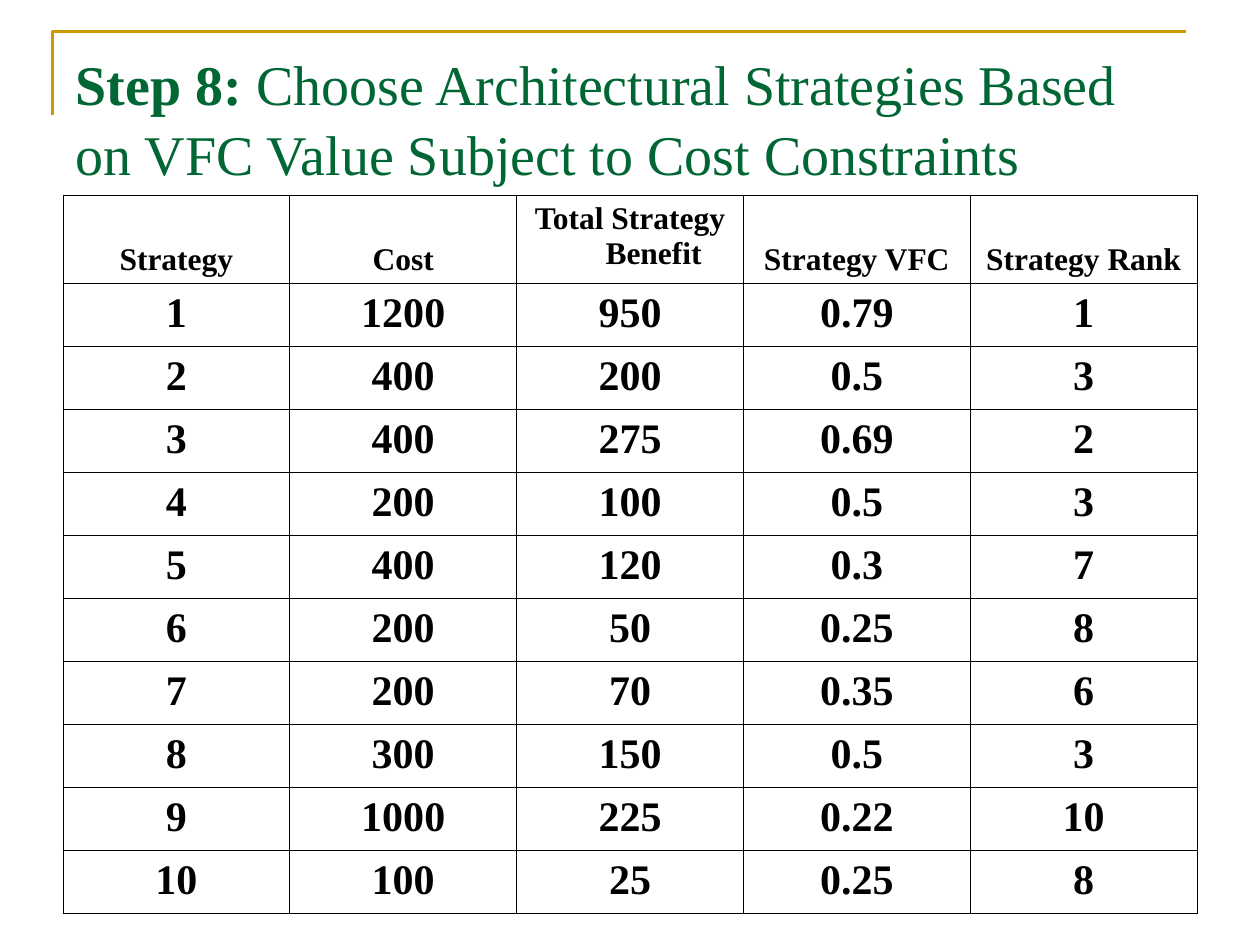
from lxml import etree
from pptx import Presentation
from pptx import util as u
from pptx.dml import color
from pptx.enum import text
from pptx.oxml import ns

Pt = u.Pt
FONT = "Times New Roman"
COLORS = {"title": "006633", "accent": "CC9900", "text": "000000", "cell": "FFFFFF"}
HEADERS = ["Strategy", "Cost", "Total Strategy Benefit", "Strategy VFC", "Strategy Rank"]
STRATEGIES = [
    ["1", "1200", "950", "0.79", "1"],
    ["2", "400", "200", "0.5", "3"],
    ["3", "400", "275", "0.69", "2"],
    ["4", "200", "100", "0.5", "3"],
    ["5", "400", "120", "0.3", "7"],
    ["6", "200", "50", "0.25", "8"],
    ["7", "200", "70", "0.35", "6"],
    ["8", "300", "150", "0.5", "3"],
    ["9", "1000", "225", "0.22", "10"],
    ["10", "100", "25", "0.25", "8"],
]


def rgb(name):
    return color.RGBColor.from_string(COLORS[name])


def add_text(p, content, size=24, fill="text", bold=True, align=None, hanging=0, spacing=None):
    r = p.add_run()
    r.text = content
    r.font.name, r.font.size, r.font.bold = FONT, Pt(size), bold
    r.font.color.rgb = rgb(fill)
    p.alignment = align
    if spacing:
        p.line_spacing = spacing
    if hanging:
        pPr = p._p.get_or_add_pPr()
        pPr.set("marL", str(Pt(hanging)))
        pPr.set("indent", str(Pt(-hanging)))


def set_borders(cell, width=0.45):
    tcPr = cell._tc.get_or_add_tcPr()
    for i, side in enumerate(("lnL", "lnR", "lnT", "lnB")):
        ln = etree.Element(ns.qn("a:" + side), w=str(Pt(width)))
        fill = etree.SubElement(ln, ns.qn("a:solidFill"))
        etree.SubElement(fill, ns.qn("a:srgbClr"), val=COLORS["text"])
        tcPr.insert(i, ln)


def add_corner_rule(s, x, y, w, h):
    builder = s.shapes.build_freeform(Pt(x), Pt(y + h))
    builder.add_line_segments([(Pt(x), Pt(y)), (Pt(x + w), Pt(y))], close=False)
    sp = builder.convert_to_shape()
    sp.shadow.inherit = False
    sp.fill.background()
    sp.line.color.rgb = rgb("accent")
    sp.line.width = Pt(1.5)


def place_title(s, x, y, w, h):
    sp = s.shapes.title
    sp.left, sp.top, sp.width, sp.height = Pt(x), Pt(y), Pt(w), Pt(h)
    tf = sp.text_frame
    tf.word_wrap = True
    tf.auto_size = text.MSO_AUTO_SIZE.NONE
    tf.vertical_anchor = text.MSO_ANCHOR.MIDDLE
    style = dict(size=32, fill="title", align=text.PP_ALIGN.LEFT, spacing=1.05)
    p = tf.paragraphs[0]
    add_text(p, "Step 8:", **style)
    add_text(p, " Choose Architectural Strategies Based on VFC Value Subject to Cost Constraints",
             bold=False, **style)


def add_strategy_table(s, x, y, w, h, header_h=50.4):
    rows = [HEADERS] + STRATEGIES
    table = s.shapes.add_table(len(rows), len(HEADERS), Pt(x), Pt(y), Pt(w), Pt(h)).table
    table.first_row = table.horz_banding = False
    for column in table.columns:
        column.width = Pt(w / len(HEADERS))
    for i, values in enumerate(rows):
        table.rows[i].height = Pt((h - header_h) / len(STRATEGIES) if i else header_h)
        for j, value in enumerate(values):
            cell = table.cell(i, j)
            cell.fill.solid()
            cell.fill.fore_color.rgb = rgb("cell")
            set_borders(cell)
            at_bottom = i == 0 and value != "Total Strategy Benefit"
            cell.vertical_anchor = text.MSO_ANCHOR.BOTTOM if at_bottom else text.MSO_ANCHOR.TOP
            add_text(cell.text_frame.paragraphs[0], value, size=24 if i else 18,
                     align=text.PP_ALIGN.CENTER, hanging=27)


def main():
    prs = Presentation()
    prs.slide_width, prs.slide_height = Pt(720), Pt(540)
    s = prs.slides.add_slide(prs.slide_layouts[5])
    add_corner_rule(s, 30, 18, 648, 48)
    place_title(s, 36, 21.6, 648, 90)
    add_strategy_table(s, 36, 111.6, 648, 410.4)
    prs.save("out.pptx")


if __name__ == "__main__":
    main()
